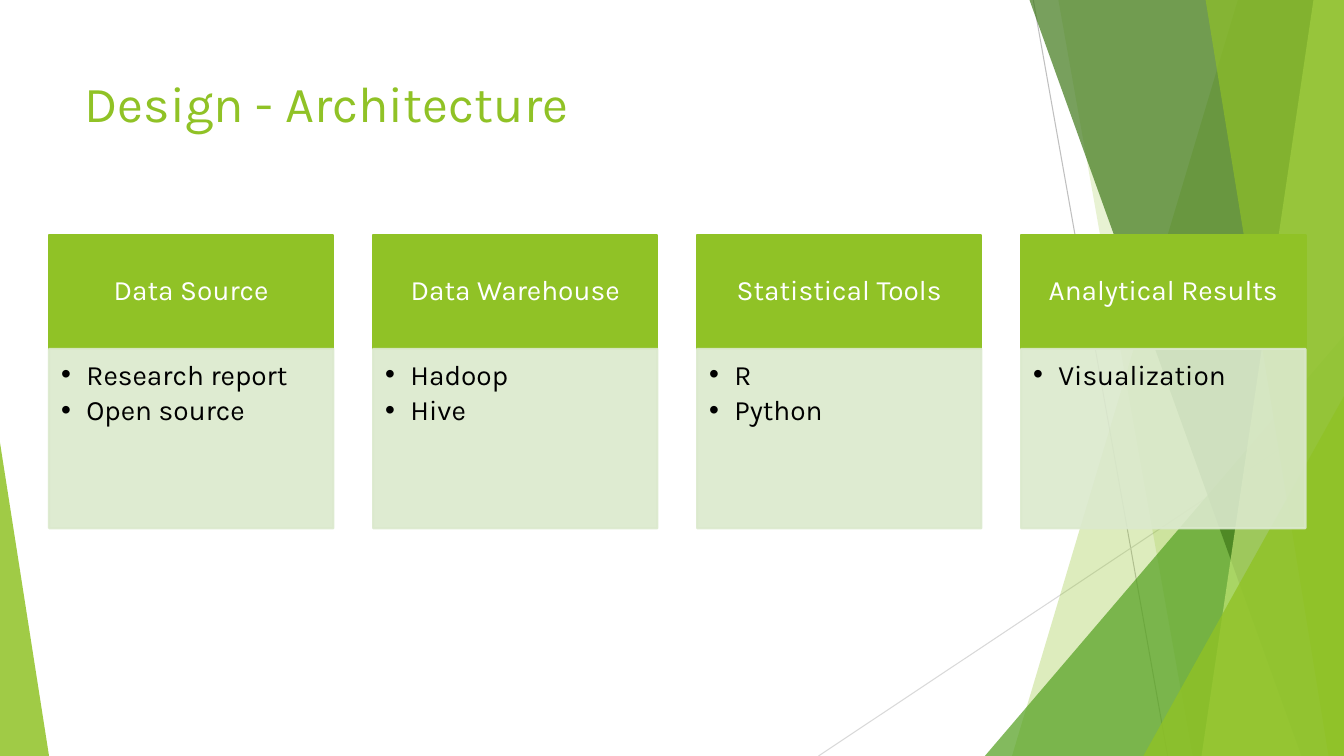
from lxml import etree
from pptx import Presentation
from pptx import util as u
from pptx.dml.color import RGBColor
from pptx.enum import shapes, text
from pptx.oxml.ns import qn

COLORS = {
    "lime": "90C226", "green": "54A021", "forest": "3F7819", "pale": "C0E474",
    "mint": "DBE9CD", "gray": "BFBFBF", "silver": "D9D9D9",
    "white": "FFFFFF", "black": "000000",
}
FONT = "Karla"
STAGES = [
    ("Data Source", ["Research report", "Open source"]),
    ("Data Warehouse", ["Hadoop", "Hive"]),
    ("Statistical Tools", ["R", "Python"]),
    ("Analytical Results", ["Visualization"]),
]
LEFT, PITCH, WIDTH = 3.65, 24.11, 21.16
TOP, HEAD_H, BODY_H = 31.07, 15.07, 23.73


class Deck:
    """Draws styled elements on one slide, with lengths in percent of its size."""

    def __init__(self):
        self.prs = Presentation()
        self.prs.slide_width, self.prs.slide_height = u.Inches(13.33), u.Inches(7.5)
        self.s = self.prs.slides.add_slide(self.prs.slide_layouts[6])

    def x(self, share):
        return round(self.prs.slide_width * share / 100)

    def y(self, share):
        return round(self.prs.slide_height * share / 100)

    def box(self, left, top, width, height):
        return self.x(left), self.y(top), self.x(width), self.y(height)

    def paint(self, fill, color, alpha=100):
        fill.solid()
        fill.fore_color.rgb = RGBColor.from_string(COLORS[color])
        if alpha < 100:
            clr = next(fill._xPr.iter(qn("a:srgbClr")))
            etree.SubElement(clr, qn("a:alpha"), val=str(alpha * 1000))

    def style(self, sp, color, alpha=100, outline=0):
        sp.shadow.inherit = False
        self.paint(sp.fill, color, alpha)
        if outline:
            sp.line.width = u.Pt(outline)
            self.paint(sp.line.fill, color, alpha)
        else:
            sp.line.fill.background()

    def line(self, x1, y1, x2, y2, color):
        c = self.s.shapes.add_connector(
            shapes.MSO_CONNECTOR.STRAIGHT, self.x(x1), self.y(y1), self.x(x2), self.y(y2))
        c.line.width = u.Pt(0.75)
        self.paint(c.line.fill, color)
        etree.SubElement(c._element.spPr, qn("a:effectLst"))

    def wedge(self, top_x, bottom_x, color, alpha):
        fb = self.s.shapes.build_freeform(self.x(top_x), 0)
        corners = [(100, 0), (100, 100), (bottom_x, 100)]
        fb.add_line_segments([(self.x(a), self.y(b)) for a, b in corners])
        self.style(fb.convert_to_shape(), color, alpha)

    def triangle(self, left, top, width, apex, color, alpha):
        sp = self.s.shapes.add_shape(
            shapes.MSO_SHAPE.ISOSCELES_TRIANGLE, *self.box(left, top, width, 100 - top))
        sp.adjustments[0] = apex
        self.style(sp, color, alpha)

    def set_text(self, sp, lines, size, color, anchor, align, insets):
        tf = sp.text_frame
        tf.word_wrap = True
        tf.vertical_anchor = anchor
        tf.margin_left, tf.margin_top, tf.margin_right, tf.margin_bottom = map(u.Inches, insets)
        tf.text = "\n".join(lines)
        for p in tf.paragraphs:
            p.alignment = align
            for r in p.runs:
                r.font.size, r.font.name = u.Pt(size), FONT
                r.font.color.rgb = RGBColor.from_string(COLORS[color])
        return tf

    def title(self, words):
        sp = self.s.shapes.add_textbox(*self.box(5.55, 8.93, 70.52, 19.2))
        self.set_text(sp, [words], 36, "lime", text.MSO_ANCHOR.TOP,
                      text.PP_ALIGN.LEFT, (0.1, 0.05, 0.1, 0.05))

    def panel(self, left, top, height, color, alpha=100):
        sp = self.s.shapes.add_shape(
            shapes.MSO_SHAPE.RECTANGLE, *self.box(left, top, WIDTH, height))
        self.style(sp, color, alpha, 1.5)
        return sp

    def header(self, left, words):
        sp = self.panel(left, TOP, HEAD_H, "lime")
        tf = self.set_text(sp, [words], 20, "white", text.MSO_ANCHOR.MIDDLE,
                           text.PP_ALIGN.CENTER, (0.16, 0.09, 0.16, 0.09))
        tf.paragraphs[0].line_spacing = 0.9

    def bullets(self, left, items):
        sp = self.panel(left, TOP + HEAD_H, BODY_H, "mint", 90)
        tf = self.set_text(sp, items, 20, "black", text.MSO_ANCHOR.TOP,
                           text.PP_ALIGN.LEFT, (0.12, 0.12, 0.16, 0.17))
        for p in tf.paragraphs:
            p.line_spacing, p.space_after = 0.9, u.Pt(3.5)
            pPr = p._p.get_or_add_pPr()
            pPr.set("marL", str(u.Inches(0.25)))
            pPr.set("indent", str(u.Inches(-0.25)))
            etree.SubElement(pPr, qn("a:buFont"), typeface="Arial")
            etree.SubElement(pPr, qn("a:buChar"), char="•")


def main():
    d = Deck()
    d.line(76.88, 0, 86.88, 100, "gray")
    d.line(100, 53.73, 60.9, 100, "silver")
    d.wedge(92.1, 75.3, "lime", 30)
    d.wedge(78.75, 88.73, "lime", 20)
    d.triangle(73.28, 44.4, 26.72, 1, "green", 72)
    d.wedge(76.6, 96.83, "forest", 70)
    d.wedge(97.73, 89.4, "pale", 70)
    d.wedge(89.7, 98.85, "lime", 65)
    d.triangle(85.07, 52.4, 14.93, 1, "lime", 80)
    d.triangle(0, 58.53, 3.65, 0, "lime", 85)
    d.title("Design - Architecture")
    for i, (name, items) in enumerate(STAGES):
        left = LEFT + i * PITCH
        d.header(left, name)
        d.bullets(left, items)
    d.prs.save("out.pptx")


if __name__ == "__main__":
    main()
